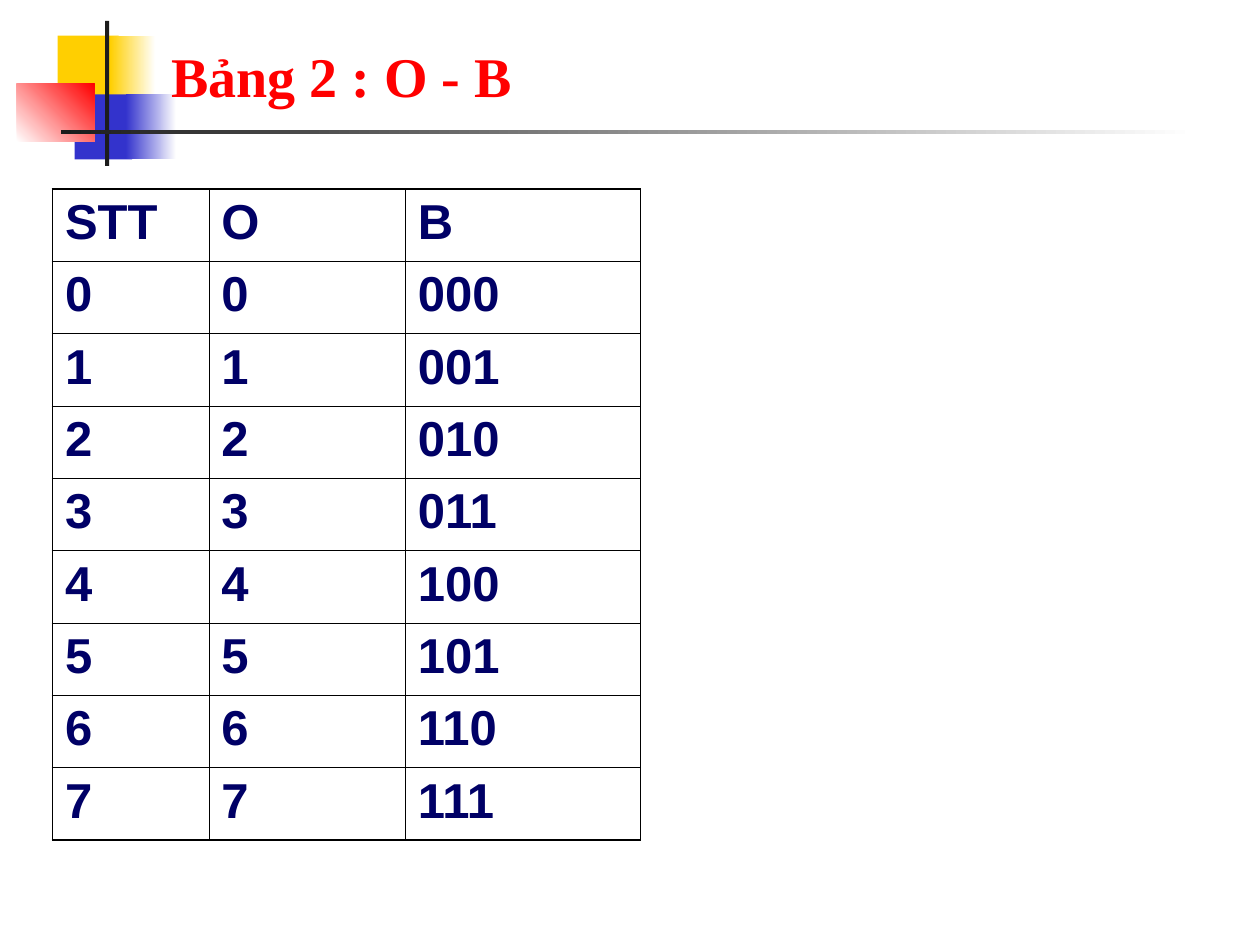
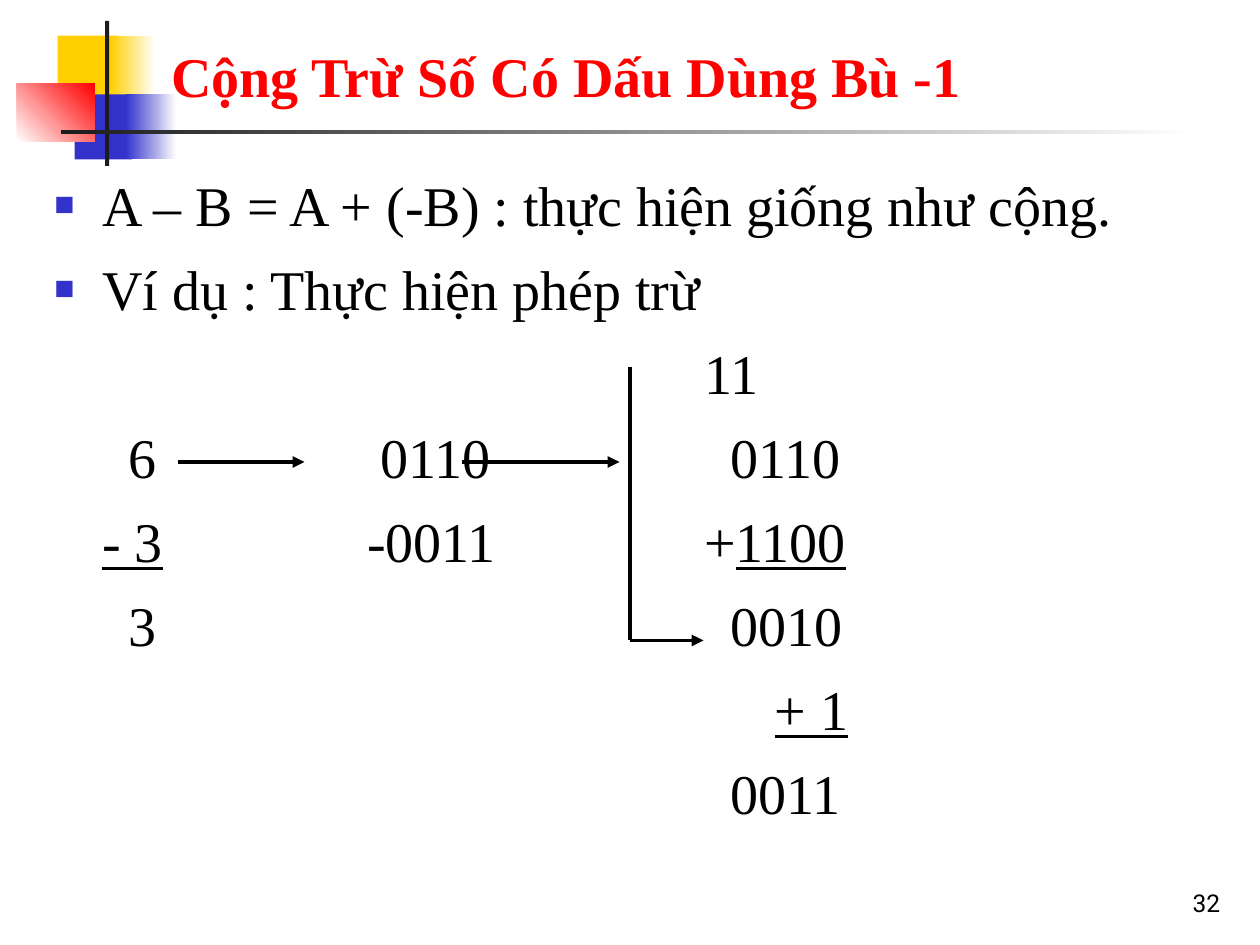
from lxml.etree import SubElement
from pptx import Presentation
from pptx.dml.color import RGBColor
from pptx.enum.shapes import MSO_CONNECTOR as Connector, MSO_SHAPE as Shape
from pptx.enum.text import MSO_ANCHOR as Anchor, PP_ALIGN as Align
from pptx.oxml.ns import qn
from pptx.util import Inches, Pt

COLUMNS, ROWS = 120, 90
CELL = Inches(1) / 12

WHITE = RGBColor(0xFF, 0xFF, 0xFF)
BLACK = RGBColor(0x00, 0x00, 0x00)
INK = RGBColor(0x1C, 0x1C, 0x1C)
YELLOW = RGBColor(0xFF, 0xCF, 0x01)
BLUE = RGBColor(0x33, 0x33, 0xCC)
RED = RGBColor(0xFF, 0x00, 0x00)
NAVY = RGBColor(0x00, 0x00, 0x66)

SERIF, SANS, NUMBER_FONT = "Times New Roman", "Arial", "Roboto"
TITLE_ONLY = 5

EMBLEM = [
    ((5.5, 3.4, 5.8, 6.2), (YELLOW,), 0),
    ((10.5, 3.4, 4.3, 6.2), (YELLOW, WHITE), 0),
    ((7.1, 9, 5.5, 6.2), (BLUE,), 0),
    ((12, 9, 4.8, 6.2), (BLUE, WHITE), 0),
    ((1.6, 8, 7.4, 5.5), (WHITE, RED), 45),
    ((10, 2, 0.4, 13.8), (INK,), 0),
    ((5.8, 12.4, 108, 0.4), (INK, WHITE), 0),
]

OCTAL_COLUMNS = (14.9, 18.7, 22.4)
OCTAL_ROW = 62 / 9
OUTER_BORDER, INNER_BORDER = Pt(1.08), Pt(0.45)

RULES = [
    "A – B = A + (-B) : thực hiện giống như cộng.",
    "Ví dụ : Thực hiện phép trừ",
]
DECIMAL_SIGN, DECIMAL = 4.56, 7.1
BINARY_SIGN, BINARY = 29.8, 31.1
SUM_SIGN, SUM, CARRY = 61.9, 64.4, 68.6
SUBTRACTION = [
    ((SUM_SIGN,), [("\t11", False)]),
    ((DECIMAL, BINARY, SUM), [("\t6\t0110\t0110", False)]),
    ((DECIMAL_SIGN, BINARY_SIGN, SUM_SIGN),
     [("\t", False), ("- 3", True), ("\t-0011\t+", False), ("1100", True)]),
    ((DECIMAL, SUM), [("\t3\t0010", False)]),
    ((SUM, CARRY), [("\t", False), ("\t+ 1", True)]),
    ((SUM,), [("\t0011", False)]),
]


def grid(*cells):
    return [round(cell * CELL) for cell in cells]


def style(paragraph, face, size, color, bold=False):
    font = paragraph.font
    font.name, font.size, font.bold = face, Pt(size), bold
    font.color.rgb = color


def add_block(slide, place, colors, angle):
    block = slide.shapes.add_shape(Shape.RECTANGLE, *grid(*place))
    block.shadow.inherit = False
    block.line.fill.background()
    if len(colors) == 1:
        block.fill.solid()
        block.fill.fore_color.rgb = colors[0]
        return
    block.fill.gradient()
    block.fill.gradient_angle = angle
    for stop, color in zip(block.fill.gradient_stops, colors):
        stop.color.rgb = color


def add_titled_slide(deck, heading):
    slide = deck.slides.add_slide(deck.slide_layouts[TITLE_ONLY])
    for place, colors, angle in EMBLEM:
        add_block(slide, place, colors, angle)
    title = slide.shapes.title
    slide.shapes.element.append(title.element)
    title.left, title.top, title.width, title.height = grid(15.1, 2.8, 102.2, 8.2)
    title.text_frame.text = heading
    title.text_frame.vertical_anchor = Anchor.BOTTOM
    paragraph = title.text_frame.paragraphs[0]
    paragraph.alignment = Align.LEFT
    style(paragraph, SERIF, 32, RED, bold=True)
    return slide


def add_border(cell, side, width):
    line = SubElement(cell._tc.get_or_add_tcPr(), qn(f"a:ln{side}"), w=str(width))
    fill = SubElement(line, qn("a:solidFill"))
    SubElement(fill, qn("a:srgbClr"), val=str(BLACK))


def add_code_table(slide, records):
    row_count, column_count = len(records), len(records[0])
    place = grid(5, 18, sum(OCTAL_COLUMNS), OCTAL_ROW * row_count)
    table = slide.shapes.add_table(row_count, column_count, *place).table
    table.first_row = table.horz_banding = False
    for column, width in zip(table.columns, grid(*OCTAL_COLUMNS)):
        column.width = width
    for r, record in enumerate(records):
        for c, code in enumerate(record):
            cell = table.cell(r, c)
            cell.text = code
            style(cell.text_frame.paragraphs[0], SANS, 28, NAVY, bold=True)
            edges = {"L": c == 0, "R": c == column_count - 1,
                     "T": r == 0, "B": r == row_count - 1}
            for side, is_outer in edges.items():
                add_border(cell, side, OUTER_BORDER if is_outer else INNER_BORDER)
            cell.fill.background()


def set_bullet(paragraph):
    indent = grid(DECIMAL_SIGN)[0]
    props = paragraph._p.get_or_add_pPr()
    props.set("marL", str(indent))
    props.set("indent", str(-indent))
    color = SubElement(props, qn("a:buClr"))
    SubElement(color, qn("a:srgbClr"), val=str(BLUE))
    SubElement(props, qn("a:buSzPct"), val="60000")
    SubElement(props, qn("a:buFont"), typeface=SANS)
    SubElement(props, qn("a:buChar"), char="■")


def set_tabs(paragraph, stops):
    tabs = SubElement(paragraph._p.get_or_add_pPr(), qn("a:tabLst"))
    for stop in grid(*stops):
        SubElement(tabs, qn("a:tab"), pos=str(stop), algn="l")


def add_text_frame(slide, place):
    frame = slide.shapes.add_textbox(*grid(*place)).text_frame
    frame.word_wrap = True
    return frame


def add_working(slide):
    frame = add_text_frame(slide, (4, 15, 112.5, 64.4))
    frame.margin_top = Inches(0.1)
    lines = [(None, [(rule, False)]) for rule in RULES] + SUBTRACTION
    for number, (stops, pieces) in enumerate(lines):
        paragraph = frame.add_paragraph() if number else frame.paragraphs[0]
        if stops:
            set_tabs(paragraph, stops)
        else:
            set_bullet(paragraph)
        if number:
            paragraph.space_before = Pt(9.6)
        style(paragraph, SERIF, 32, BLACK)
        for text, underlined in pieces:
            run = paragraph.add_run()
            run.text = text
            if underlined:
                run.font.underline = True


def add_line(shapes, start, end, arrow=True):
    line = shapes.add_connector(Connector.STRAIGHT, *grid(*start, *end))
    line.line.color.rgb = BLACK
    line.line.width = Pt(2.25)
    if arrow:
        SubElement(line.line._get_or_add_ln(), qn("a:tailEnd"), type="triangle")
    SubElement(line._element.spPr, qn("a:effectLst"))


def add_page_number(slide, number):
    frame = add_text_frame(slide, (92.4, 82, 25, 6))
    frame.vertical_anchor = Anchor.BOTTOM
    paragraph = frame.paragraphs[0]
    paragraph.text = str(number)
    paragraph.alignment = Align.RIGHT
    style(paragraph, NUMBER_FONT, 14, BLACK)


def main():
    deck = Presentation()
    deck.slide_width, deck.slide_height = grid(COLUMNS, ROWS)

    octal = add_titled_slide(deck, "Bảng 2 : O - B")
    codes = [(str(digit), str(digit), f"{digit:03b}") for digit in range(8)]
    add_code_table(octal, [("STT", "O", "B")] + codes)

    subtraction = add_titled_slide(deck, "Cộng Trừ Số Có Dấu Dùng Bù -1")
    add_page_number(subtraction, 32)
    add_working(subtraction)
    add_line(subtraction.shapes, (17, 44), (29, 44))
    add_line(subtraction.shapes, (44, 44), (59, 44))
    elbow = subtraction.shapes.add_group_shape().shapes
    add_line(elbow, (60, 35), (60, 61), arrow=False)
    add_line(elbow, (60, 61), (67, 61))

    deck.save("out.pptx")


if __name__ == "__main__":
    main()
